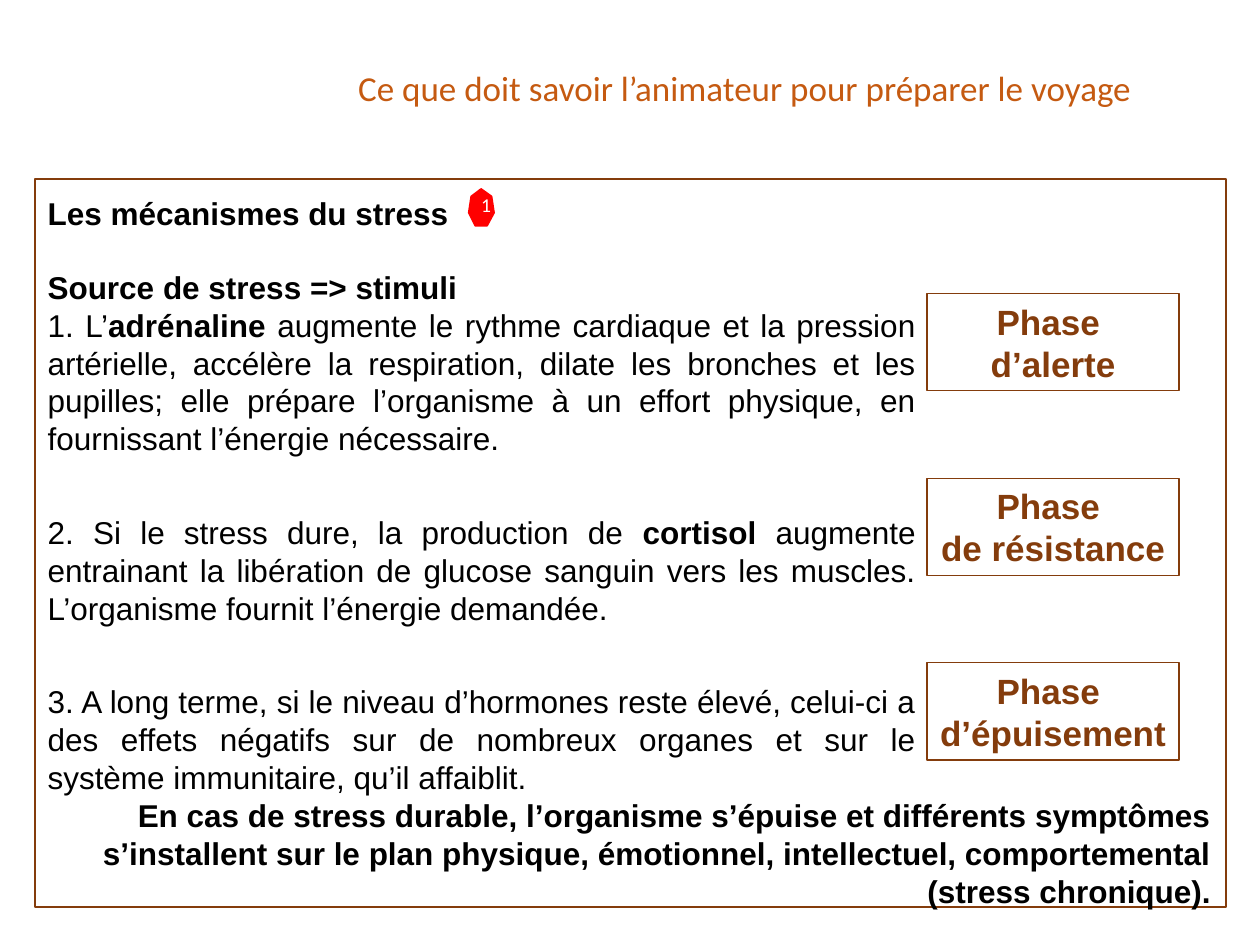
import dataclasses
import typing

import pptx
import pptx.dml.color
import pptx.enum.shapes
import pptx.enum.text
import pptx.util

Cm = pptx.util.Cm
Pt = pptx.util.Pt
ALIGN = pptx.enum.text.PP_ALIGN
COLORS = {
    "white": "FFFFFF",
    "black": "000000",
    "brown": "843C0C",
    "orange": "C55A11",
    "red": "FF0000",
}


@dataclasses.dataclass(frozen=True)
class Box:
    left: float
    top: float
    width: float
    height: float

    def lengths(self) -> list:
        return [Cm(value) for value in dataclasses.astuple(self)]


@dataclasses.dataclass(frozen=True)
class Span:
    text: str
    bold: bool = False


@dataclasses.dataclass(frozen=True)
class Para:
    spans: tuple
    before: float = 0


@dataclasses.dataclass(frozen=True)
class Style:
    align: typing.Any
    color: str = "black"
    size: float = 18
    font: str = "Arial"
    line_spacing: float = 1.0


def rgb(name: str) -> pptx.dml.color.RGBColor:
    return pptx.dml.color.RGBColor.from_string(COLORS[name])


def apply(target: typing.Any, values: dict) -> None:
    for name, value in values.items():
        setattr(target, name, value)


def write(shape: typing.Any, paras: list, style: Style, wrap: bool = True) -> None:
    frame = shape.text_frame
    frame.word_wrap = wrap
    for index, para in enumerate(paras):
        line = frame.paragraphs[0] if index == 0 else frame.add_paragraph()
        apply(line, {
            "alignment": style.align,
            "space_before": Pt(para.before),
            "line_spacing": style.line_spacing,
        })
        for span in para.spans:
            run = line.add_run()
            run.text = span.text
            apply(run.font, {
                "name": style.font,
                "size": Pt(style.size),
                "bold": span.bold,
            })
            run.font.color.rgb = rgb(style.color)


def paint(shape: typing.Any, line: str, width: float, fill: str = "") -> None:
    shape.shadow.inherit = False
    if fill:
        shape.fill.solid()
        shape.fill.fore_color.rgb = rgb(fill)
    else:
        shape.fill.background()
    shape.line.color.rgb = rgb(line)
    shape.line.width = Pt(width)


def add_text(page: typing.Any, box: Box, paras: list, style: Style) -> None:
    write(page.shapes.add_textbox(*box.lengths()), paras, style)


def add_rectangle(page: typing.Any, box: Box, width: float, fill: str = "") -> typing.Any:
    shape = page.shapes.add_shape(
        pptx.enum.shapes.MSO_SHAPE.RECTANGLE, *box.lengths())
    paint(shape, "brown", width, fill)
    return shape


def add_badge(page: typing.Any, points: list, label: str) -> None:
    start, *others = [(Cm(x), Cm(y)) for x, y in points]
    builder = page.shapes.build_freeform(*start)
    builder.add_line_segments(others, close=True)
    badge = builder.convert_to_shape()
    paint(badge, "red", 1, "red")
    badge.text_frame.vertical_anchor = pptx.enum.text.MSO_ANCHOR.MIDDLE
    write(badge, [Para((Span(label),))],
          Style(ALIGN.CENTER, "white", 11.2, "Calibri", 0.8))


TITLE = "Ce que doit savoir l’animateur pour préparer le voyage"
HEADING = "Les mécanismes du stress"
CONCLUSION = (
    "En cas de stress durable, l’organisme s’épuise et différents symptômes "
    "s’installent sur le plan physique, émotionnel, intellectuel, "
    "comportemental (stress chronique).")
MECHANISMS = [
    Para((Span("Source de stress => stimuli", True),)),
    Para((
        Span("1. L’"),
        Span("adrénaline", True),
        Span(" augmente le rythme cardiaque et la pression artérielle, accélère "
             "la respiration, dilate les bronches et les pupilles; elle prépare "
             "l’organisme à un effort physique, en fournissant l’énergie "
             "nécessaire."),
    )),
    Para((
        Span("2. Si le stress dure, la production de "),
        Span("cortisol", True),
        Span(" augmente entrainant la libération de glucose sanguin vers les "
             "muscles. L’organisme fournit l’énergie demandée."),
    ), 32),
    Para((
        Span("3. A long terme, si le niveau d’hormones reste élevé, celui-ci a "
             "des effets négatifs sur de nombreux organes et sur le système "
             "immunitaire, qu’il affaiblit."),
    ), 32),
]
PHASES = ["d’alerte", "de résistance", "d’épuisement"]
PHASE_TOP = 5.92
PHASE_PITCH = 3.72
HEPTAGON = [(9.45, 4.29), (9.5, 3.96), (9.7, 3.81), (9.91, 3.96),
            (9.96, 4.29), (9.82, 4.55), (9.58, 4.55)]


def main() -> None:
    deck = pptx.Presentation()
    apply(deck, {"slide_width": Cm(25.4), "slide_height": Cm(19.05)})
    page = deck.slides.add_slide(deck.slide_layouts[6])

    add_rectangle(page, Box(0.71, 3.61, 24, 14.68), 1, "white")
    add_text(page, Box(5.92, 1.22, 18.19, 1.12), [Para((Span(TITLE),))],
             Style(ALIGN.CENTER, "orange", 20, "Calibri"))
    add_text(page, Box(0.71, 5.28, 18, 10.95), MECHANISMS, Style(ALIGN.JUSTIFY))
    for index, phase in enumerate(PHASES):
        box = Box(18.69, PHASE_TOP + index * PHASE_PITCH, 5.08, 1.96)
        paras = [Para((Span(text, True),)) for text in ("Phase ", phase)]
        write(add_rectangle(page, box, 0.75), paras,
              Style(ALIGN.CENTER, "brown", 20), wrap=False)
    add_text(page, Box(0.71, 3.78, 21.92, 1.02),
             [Para((Span(HEADING, True),))], Style(ALIGN.JUSTIFY))
    add_text(page, Box(0.71, 15.93, 23.95, 3.3),
             [Para((Span(CONCLUSION, True),))], Style(ALIGN.RIGHT))
    add_badge(page, HEPTAGON, "1")
    deck.save("out.pptx")


if __name__ == "__main__":
    main()
